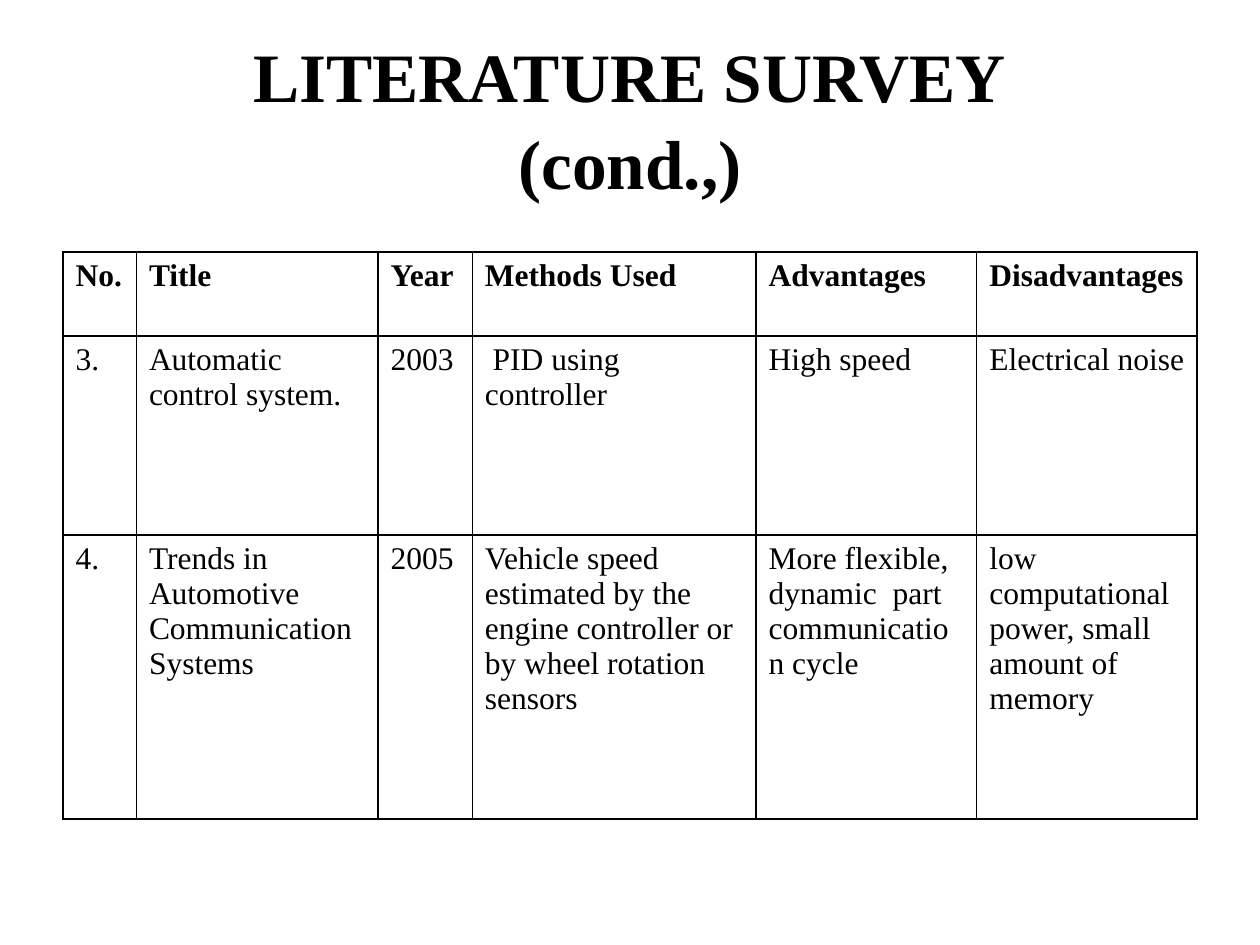
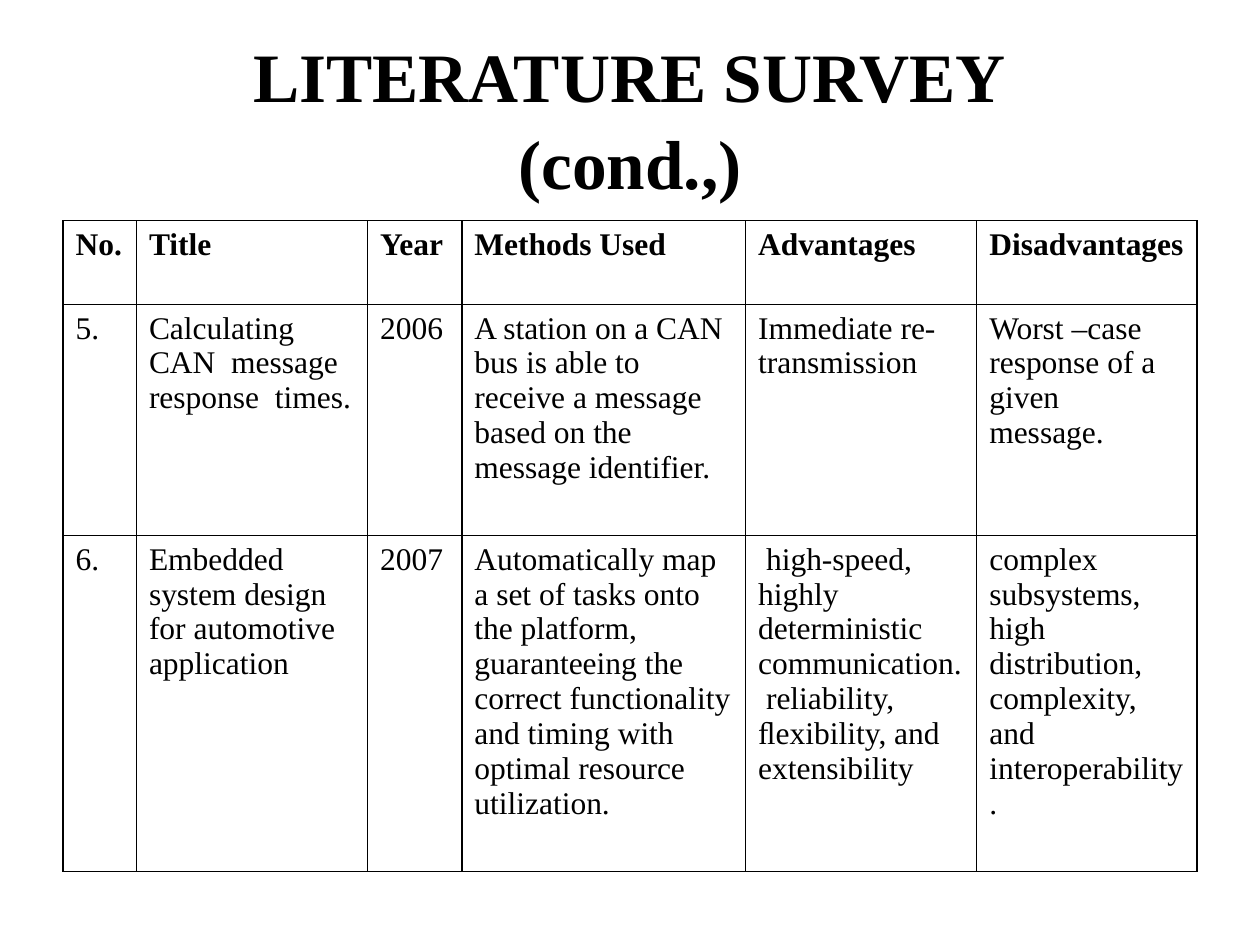
import pptx
import pptx.dml.color
import pptx.enum.text
import pptx.oxml
import pptx.oxml.ns
import pptx.util
from pptx.util import Cm

FONT = "Times New Roman"
BLACK = "000000"
TITLE = "LITERATURE SURVEY\v(cond.,)"
TITLE_BOX = (1.27, 0.76, 22.86, 3.18)
TITLE_FORMAT = {"name": FONT, "size": pptx.util.Pt(39.6), "bold": True}
HEAD_FORMAT = {"name": FONT, "size": pptx.util.Pt(18), "bold": True}
BODY_FORMAT = {**HEAD_FORMAT, "bold": False}
HEADINGS = ("No.", "Title", "Year", "Methods Used", "Advantages", "Disadvantages")

SURVEYS = [
    {
        "origin": (1.27, 5.08),
        "widths": (1.48, 4.87, 1.9, 5.72, 4.45, 4.44),
        "heights": (1.69, 4.02, 5.72),
        "papers": [
            ("3.", "Automatic control system.", "2003", " PID using controller",
             "High speed", "Electrical noise"),
            ("4.", "Trends in Automotive Communication Systems", "2005",
             "Vehicle speed estimated by the engine controller or by wheel rotation sensors",
             "More flexible,\ndynamic  part communication cycle",
             "low computational power, small amount of memory"),
        ],
    },
    {
        "origin": (1.27, 4.45),
        "widths": (1.48, 4.66, 1.9, 5.72, 4.66, 4.44),
        "heights": (1.69, 4.66, 6.77),
        "papers": [
            ("5.", "Calculating CAN  message response  times.", "2006",
             "A station on a CAN bus is able to  receive a message  based on the message identifier.",
             "Immediate re-transmission",
             "Worst –case  response of a given  message."),
            ("6.", "Embedded system design for automotive\napplication", "2007",
             "Automatically map a set of tasks onto the platform, guaranteeing the correct "
             "functionality and timing with optimal resource utilization.",
             " high-speed, highly deterministic communication.  reliability, ﬂexibility, and extensibility",
             "complex subsystems, high distribution, complexity, and interoperability."),
        ],
    },
]


def color(value):
    return pptx.dml.color.RGBColor.from_string(value)


def write_text(frame, text, font_format, para_format):
    frame.text = text
    for para in frame.paragraphs:
        for name, value in para_format.items():
            setattr(para, name, value)
        for span in para.runs:
            for name, value in font_format.items():
                setattr(span.font, name, value)
            span.font.color.rgb = color(BLACK)


def add_title(page, box):
    frame = page.shapes.add_textbox(*map(Cm, box)).text_frame
    frame.word_wrap = True
    frame.vertical_anchor = pptx.enum.text.MSO_ANCHOR.MIDDLE
    write_text(frame, TITLE, TITLE_FORMAT,
               {"alignment": pptx.enum.text.PP_ALIGN.CENTER, "line_spacing": 1.04})


def add_borders(cell):
    properties = cell._tc.get_or_add_tcPr()
    for side in ("lnL", "lnR", "lnT", "lnB"):
        properties.append(pptx.oxml.parse_xml(
            f'<a:{side} {pptx.oxml.ns.nsdecls("a")} w="12700"><a:solidFill>'
            f'<a:srgbClr val="{BLACK}"/></a:solidFill></a:{side}>'))


def add_survey_table(page, origin, widths, heights, papers):
    rows = [HEADINGS, *papers]
    box = (*origin, sum(widths), sum(heights))
    table = page.shapes.add_table(len(rows), len(widths), *map(Cm, box)).table
    table.first_row = table.horz_banding = False
    for column, width in zip(table.columns, widths):
        column.width = Cm(width)
    for row, height, texts in zip(table.rows, heights, rows):
        row.height = Cm(height)
        font_format = HEAD_FORMAT if texts is HEADINGS else BODY_FORMAT
        for cell, text in zip(row.cells, texts):
            add_borders(cell)
            cell.fill.background()
            write_text(cell.text_frame, text, font_format, {})


def main():
    deck = pptx.Presentation()
    deck.slide_width, deck.slide_height = Cm(25.4), Cm(19.05)
    for survey in SURVEYS:
        page = deck.slides.add_slide(deck.slide_layouts[6])
        add_title(page, TITLE_BOX)
        add_survey_table(page, **survey)
    deck.save("out.pptx")


if __name__ == "__main__":
    main()
